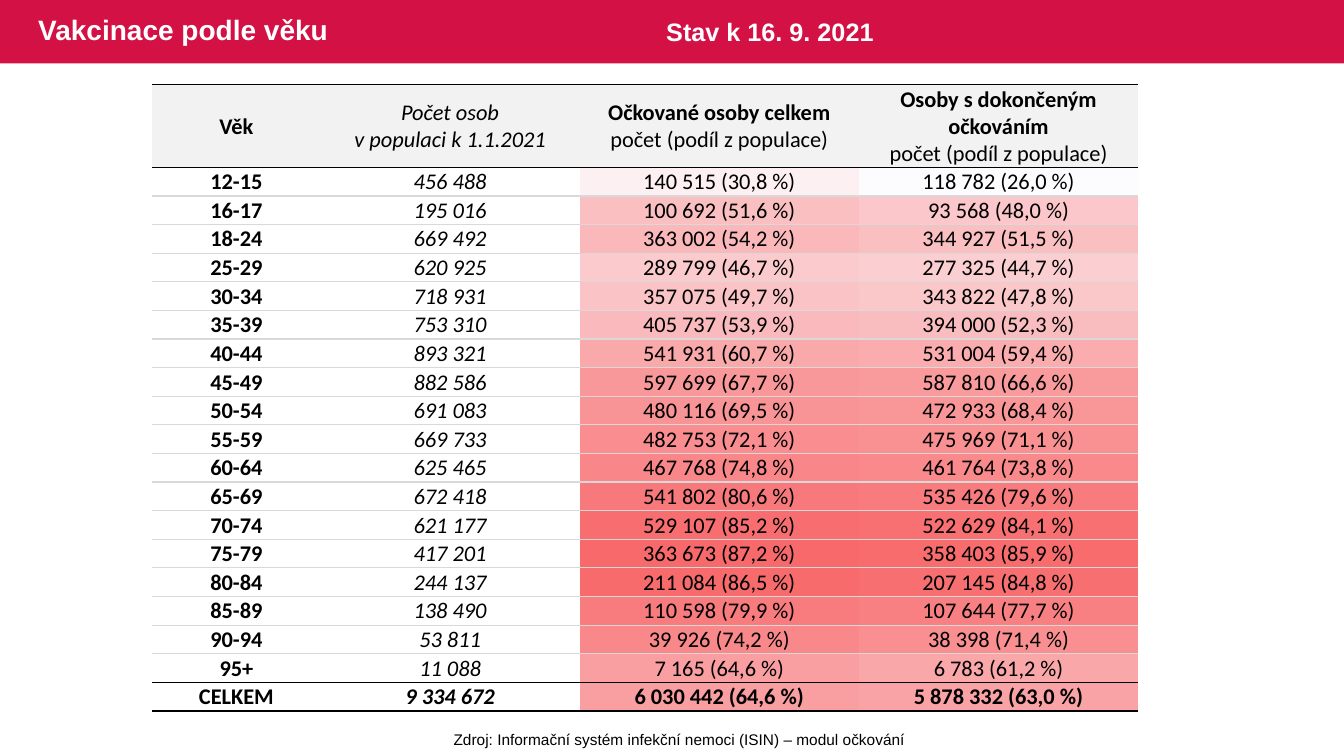
from lxml.etree import SubElement
from pptx import Presentation
from pptx.dml.color import RGBColor
from pptx.enum.shapes import MSO_SHAPE
from pptx.enum.text import MSO_ANCHOR, PP_ALIGN
from pptx.oxml.ns import qn
from pptx.util import Inches, Pt

TITLE = "Vakcinace podle věku"
STATUS_DATE = "Stav k 16. 9. 2021"
SOURCE = "Zdroj: Informační systém infekční nemoci (ISIN) – modul očkování"

# One tuple per column; each line is (text, bold, italic)
HEADERS = [
    [("Věk", True, False)],
    [("Počet osob", False, True), ("v populaci k 1.1.2021", False, True)],
    [("Očkované osoby celkem", True, False), ("počet (podíl z populace)", False, False)],
    [("Osoby s dokončeným očkováním", True, False), ("počet (podíl z populace)", False, False)],
]
AGE_GROUPS = [
    ("12-15", "456 488", "140 515 (30,8 %)", "118 782 (26,0 %)"),
    ("16-17", "195 016", "100 692 (51,6 %)", "93 568 (48,0 %)"),
    ("18-24", "669 492", "363 002 (54,2 %)", "344 927 (51,5 %)"),
    ("25-29", "620 925", "289 799 (46,7 %)", "277 325 (44,7 %)"),
    ("30-34", "718 931", "357 075 (49,7 %)", "343 822 (47,8 %)"),
    ("35-39", "753 310", "405 737 (53,9 %)", "394 000 (52,3 %)"),
    ("40-44", "893 321", "541 931 (60,7 %)", "531 004 (59,4 %)"),
    ("45-49", "882 586", "597 699 (67,7 %)", "587 810 (66,6 %)"),
    ("50-54", "691 083", "480 116 (69,5 %)", "472 933 (68,4 %)"),
    ("55-59", "669 733", "482 753 (72,1 %)", "475 969 (71,1 %)"),
    ("60-64", "625 465", "467 768 (74,8 %)", "461 764 (73,8 %)"),
    ("65-69", "672 418", "541 802 (80,6 %)", "535 426 (79,6 %)"),
    ("70-74", "621 177", "529 107 (85,2 %)", "522 629 (84,1 %)"),
    ("75-79", "417 201", "363 673 (87,2 %)", "358 403 (85,9 %)"),
    ("80-84", "244 137", "211 084 (86,5 %)", "207 145 (84,8 %)"),
    ("85-89", "138 490", "110 598 (79,9 %)", "107 644 (77,7 %)"),
    ("90-94", "53 811", "39 926 (74,2 %)", "38 398 (71,4 %)"),
    ("95+", "11 088", "7 165 (64,6 %)", "6 783 (61,2 %)"),
]
TOTAL = ("CELKEM", "9 334 672", "6 030 442 (64,6 %)", "5 878 332 (63,0 %)")

CRIMSON = RGBColor(0xD3, 0x11, 0x45)
WHITE = RGBColor(0xFF, 0xFF, 0xFF)
BLACK = RGBColor(0, 0, 0)
RULE_GREY = RGBColor(0xD9, 0xD9, 0xD9)
HEADER_GREY = RGBColor(0xF2, 0xF2, 0xF2)
HEAT_LOW = RGBColor(0xFC, 0xFC, 0xFF)
HEAT_HIGH = RGBColor(0xF8, 0x69, 0x6B)

SLIDE_W, SLIDE_H = 13.33, 7.5
BAND_H = 0.63
TABLE_X, TABLE_Y = 1.51, 0.84
COLUMNS = [1.67, 2.57, 2.77, 2.77]
HEADER_H, BODY_H = 0.82, 5.4
NO_STYLE = "{2D5ABB26-0587-4C30-8999-92F81FD0307C}"


def add_run(paragraph, text, size, font, color, bold=False, italic=False):
    run = paragraph.add_run()
    run.text = text
    run.font.size, run.font.name = Pt(size), font
    run.font.bold, run.font.italic = bold, italic
    run.font.color.rgb = color


def add_label(slide, box, text, size, color, bold=False, wrap=True):
    """Add a one-line Arial text box and return its frame."""
    frame = slide.shapes.add_textbox(*map(Inches, box)).text_frame
    frame.word_wrap = wrap
    add_run(frame.paragraphs[0], text, size, "Arial", color, bold)
    return frame


def add_plain_table(slide, x, y, widths, heights):
    """Add a table without style, with tight cell margins."""
    table = slide.shapes.add_table(
        len(heights), len(widths), Inches(x), Inches(y),
        Inches(sum(widths)), Inches(sum(heights))).table
    table.first_row = table.horz_banding = False
    table._tbl.tblPr.find(qn("a:tableStyleId")).text = NO_STYLE
    for column, width in zip(table.columns, widths):
        column.width = Inches(width)
    for row, height in zip(table.rows, heights):
        row.height = Inches(height)
    for cell in table.iter_cells():
        cell.margin_left = cell.margin_right = cell.margin_top = Inches(0.01)
        cell.margin_bottom = 0
        cell.vertical_anchor = MSO_ANCHOR.MIDDLE
    return table


def set_rules(cell, top, bottom):
    """Draw 1 pt rules above and below a cell; call before filling it."""
    for tag, color in (("a:lnT", top), ("a:lnB", bottom)):
        line = SubElement(cell._tc.get_or_add_tcPr(), qn(tag), w=str(Pt(1)))
        SubElement(SubElement(line, qn("a:solidFill")), qn("a:srgbClr"), val=str(color))


def share(text):
    return float(text.split("(")[1].split()[0].replace(",", "."))


def heat_color(value, low, high):
    part = (value - low) / (high - low)
    return RGBColor(*(round(a + (b - a) * part) for a, b in zip(HEAT_LOW, HEAT_HIGH)))


def add_heat_map(slide, body, heights):
    shares = [[share(text) for text in row[2:]] for row in body]
    low, high = min(map(min, shares)), max(map(max, shares))
    table = add_plain_table(slide, TABLE_X + sum(COLUMNS[:2]), TABLE_Y + HEADER_H,
                            COLUMNS[2:], heights)
    for r, row in enumerate(shares):
        for c, value in enumerate(row):
            cell = table.cell(r, c)
            cell.fill.solid()
            cell.fill.fore_color.rgb = heat_color(value, low, high)
            # Keeps the empty line from stretching the row
            SubElement(cell.text_frame.paragraphs[0]._p, qn("a:endParaRPr"), sz="1200")


def add_age_table(slide, body, heights):
    rows = [HEADERS]
    for row in body:
        is_total = row is TOTAL
        rows.append([[(text, is_total or c == 0, c == 1)] for c, text in enumerate(row)])
    table = add_plain_table(slide, TABLE_X, TABLE_Y, COLUMNS, [HEADER_H] + heights)

    last = len(rows) - 1
    black_edges = {0, 1, last, last + 1}
    edges = [BLACK if e in black_edges else RULE_GREY for e in range(last + 2)]
    for r, row in enumerate(rows):
        for c, lines in enumerate(row):
            cell = table.cell(r, c)
            set_rules(cell, edges[r], edges[r + 1])
            if r == 0:
                cell.fill.solid()
                cell.fill.fore_color.rgb = HEADER_GREY
            else:
                cell.fill.background()
            frame = cell.text_frame
            for i, (text, bold, italic) in enumerate(lines):
                paragraph = frame.add_paragraph() if i else frame.paragraphs[0]
                paragraph.alignment = PP_ALIGN.CENTER
                add_run(paragraph, text, 16, "Calibri", BLACK, bold, italic)


def main():
    prs = Presentation()
    prs.slide_width, prs.slide_height = Inches(SLIDE_W), Inches(SLIDE_H)
    slide = prs.slides.add_slide(prs.slide_layouts[6])

    band = slide.shapes.add_shape(MSO_SHAPE.RECTANGLE, 0, 0, Inches(SLIDE_W), Inches(BAND_H))
    band.shadow.inherit = False
    band.fill.solid()
    band.fill.fore_color.rgb = CRIMSON
    band.line.fill.background()

    body = AGE_GROUPS + [TOTAL]
    heights = [BODY_H / len(body)] * len(body)
    add_heat_map(slide, body, heights)

    title = add_label(slide, (0.28, 0, 8.13, BAND_H), TITLE, 20, WHITE, bold=True)
    title.vertical_anchor = MSO_ANCHOR.MIDDLE
    title.paragraphs[0].line_spacing = 0.9
    add_label(slide, (6.51, 0.11, 2.96, 0.4), STATUS_DATE, 18, WHITE, bold=True)
    source = add_label(slide, (4.39, 7.19, 4.7, 0.29), SOURCE, 11, BLACK, wrap=False)
    source.paragraphs[0].alignment = PP_ALIGN.CENTER

    add_age_table(slide, body, heights)
    prs.save("out.pptx")


if __name__ == "__main__":
    main()
